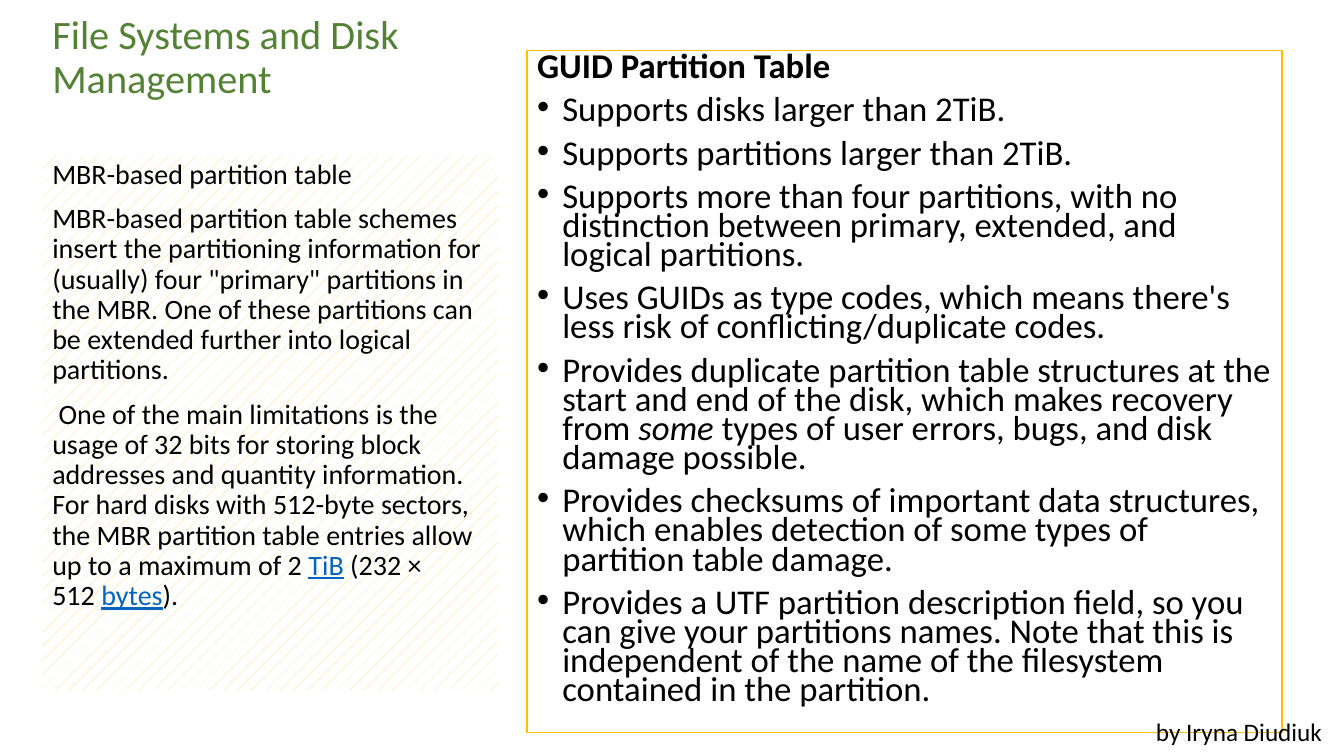
from dataclasses import dataclass, field

from lxml.etree import SubElement
from pptx import Presentation
from pptx.dml.color import RGBColor
from pptx.enum.dml import MSO_PATTERN
from pptx.enum.shapes import MSO_SHAPE
from pptx.enum.text import MSO_ANCHOR, PP_ALIGN
from pptx.oxml.ns import qn
from pptx.shapes.autoshape import Shape
from pptx.slide import Slide
from pptx.util import Pt

WHITE = RGBColor(0xFF, 0xFF, 0xFF)
BLACK = RGBColor(0x00, 0x00, 0x00)
GREEN = RGBColor(0x54, 0x82, 0x35)
GOLD = RGBColor(0xFF, 0xC0, 0x00)
PALE_GOLD = RGBColor(0xFF, 0xD9, 0x66)
TERM_BLUE = RGBColor(0x05, 0x63, 0xC1)
FONT = "Calibri"
BULLET_INDENT = Pt(18)


@dataclass
class Span:
    text: str
    color: RGBColor = BLACK
    style: dict[str, bool] = field(default_factory=dict)


@dataclass
class Paragraph:
    spans: list[Span]
    bulleted: bool = False


@dataclass
class Panel:
    left: float
    top: float
    width: float
    height: float
    size: float
    paragraphs: list[Paragraph]
    spacing: dict[str, object] = field(default_factory=dict)
    anchor: MSO_ANCHOR = MSO_ANCHOR.TOP


def term(text: str) -> Span:
    return Span(text, TERM_BLUE, {"underline": True})


def plain(text: str, color: RGBColor = BLACK) -> Paragraph:
    return Paragraph([Span(text, color)])


def bullet(*spans: Span) -> Paragraph:
    return Paragraph(list(spans), bulleted=True)


def apply_format(target: object, values: dict[str, object]) -> None:
    for name, value in values.items():
        setattr(target, name, value)


def write_text(shape: Shape, panel: Panel) -> None:
    frame = shape.text_frame
    apply_format(frame, {"word_wrap": True, "vertical_anchor": panel.anchor})
    for index, content in enumerate(panel.paragraphs):
        paragraph = frame.add_paragraph() if index else frame.paragraphs[0]
        apply_format(paragraph, {"alignment": PP_ALIGN.LEFT} | panel.spacing)
        if content.bulleted:
            properties = paragraph._p.get_or_add_pPr()
            properties.set("marL", str(BULLET_INDENT))
            properties.set("indent", str(-BULLET_INDENT))
            SubElement(properties, qn("a:buFont"), typeface="Arial")
            SubElement(properties, qn("a:buChar"), char="•")
        for span in content.spans:
            run = paragraph.add_run()
            run.text = span.text
            apply_format(run.font, {"name": FONT, "size": Pt(panel.size)} | span.style)
            run.font.color.rgb = span.color


def add_label(slide: Slide, panel: Panel) -> Shape:
    label = slide.shapes.add_textbox(
        Pt(panel.left), Pt(panel.top), Pt(panel.width), Pt(panel.height))
    write_text(label, panel)
    return label


def add_box(slide: Slide, panel: Panel) -> Shape:
    box = slide.shapes.add_shape(
        MSO_SHAPE.RECTANGLE,
        Pt(panel.left), Pt(panel.top), Pt(panel.width), Pt(panel.height))
    box.shadow.inherit = False
    write_text(box, panel)
    return box


BODY_SPACING = {"space_before": Pt(10), "line_spacing": 0.9}

heading = Panel(
    30.24, 20.88, 346.32, 55.44, 28.8,
    [plain("File Systems and Disk Management", GREEN)],
    {"line_spacing": 0.9}, MSO_ANCHOR.BOTTOM)

guid_table = Panel(
    376.56, 36, 539.28, 487.44, 24.8,
    [
        Paragraph([Span("GUID Partition Table", style={"bold": True})]),
        bullet(Span("Supports disks larger than 2TiB.")),
        bullet(Span("Supports partitions larger than 2TiB.")),
        bullet(Span("Supports more than four partitions, with no distinction "
                    "between primary, extended, and logical partitions.")),
        bullet(Span("Uses GUIDs as type codes, which means there's less risk of "
                    "conflicting/duplicate codes.")),
        bullet(Span("Provides duplicate partition table structures at the start and "
                    "end of the disk, which makes recovery from\u00a0"),
               Span("some", style={"italic": True}),
               Span("\u00a0types of user errors, bugs, and disk damage possible.")),
        bullet(Span("Provides checksums of important data structures, which enables "
                    "detection of some types of partition table damage.")),
        bullet(Span("Provides a UTF partition description field, so you can give your "
                    "partitions names. Note that this is independent of the name of "
                    "the filesystem contained in the partition.")),
    ],
    BODY_SPACING | {"line_spacing": 0.7})

mbr_table = Panel(
    30.24, 110.88, 325.44, 382.32, 20,
    [
        plain("MBR-based partition table "),
        plain("MBR-based partition table schemes insert the partitioning information "
              "for (usually) four \"primary\" partitions in the MBR. One of these "
              "partitions can be extended further into logical partitions."),
        Paragraph([
            Span(" One of the main limitations is the usage of 32 bits for storing "
                 "block addresses and quantity information. For hard disks with "
                 "512-byte sectors, the MBR partition table entries allow up to a "
                 "maximum of 2\u00a0"),
            term("TiB"),
            Span("\u00a0(232\u00a0× 512\u00a0"),
            term("bytes"),
            Span(")."),
        ]),
    ],
    BODY_SPACING)

author = Panel(818.64, 508.32, 141.12, 28.8, 18, [plain("by Iryna Diudiuk")])

presentation = Presentation()
apply_format(presentation, {"slide_width": Pt(960), "slide_height": Pt(540)})
slide = presentation.slides.add_slide(presentation.slide_layouts[6])

add_label(slide, heading)

guid_box = add_box(slide, guid_table)
guid_box.fill.solid()
guid_box.fill.fore_color.rgb = WHITE
white_fill = guid_box._element.spPr.find(qn("a:solidFill")).find(qn("a:srgbClr"))
SubElement(white_fill, qn("a:alpha"), val="60000")
guid_box.line.color.rgb = GOLD
guid_box.line.width = Pt(1)

mbr_box = add_box(slide, mbr_table)
mbr_box.fill.patterned()
mbr_box.fill.pattern = MSO_PATTERN.PERCENT_5
mbr_box.fill.fore_color.rgb = PALE_GOLD
mbr_box.fill.back_color.rgb = WHITE
mbr_box.line.fill.background()

add_label(slide, author)

presentation.save("out.pptx")
